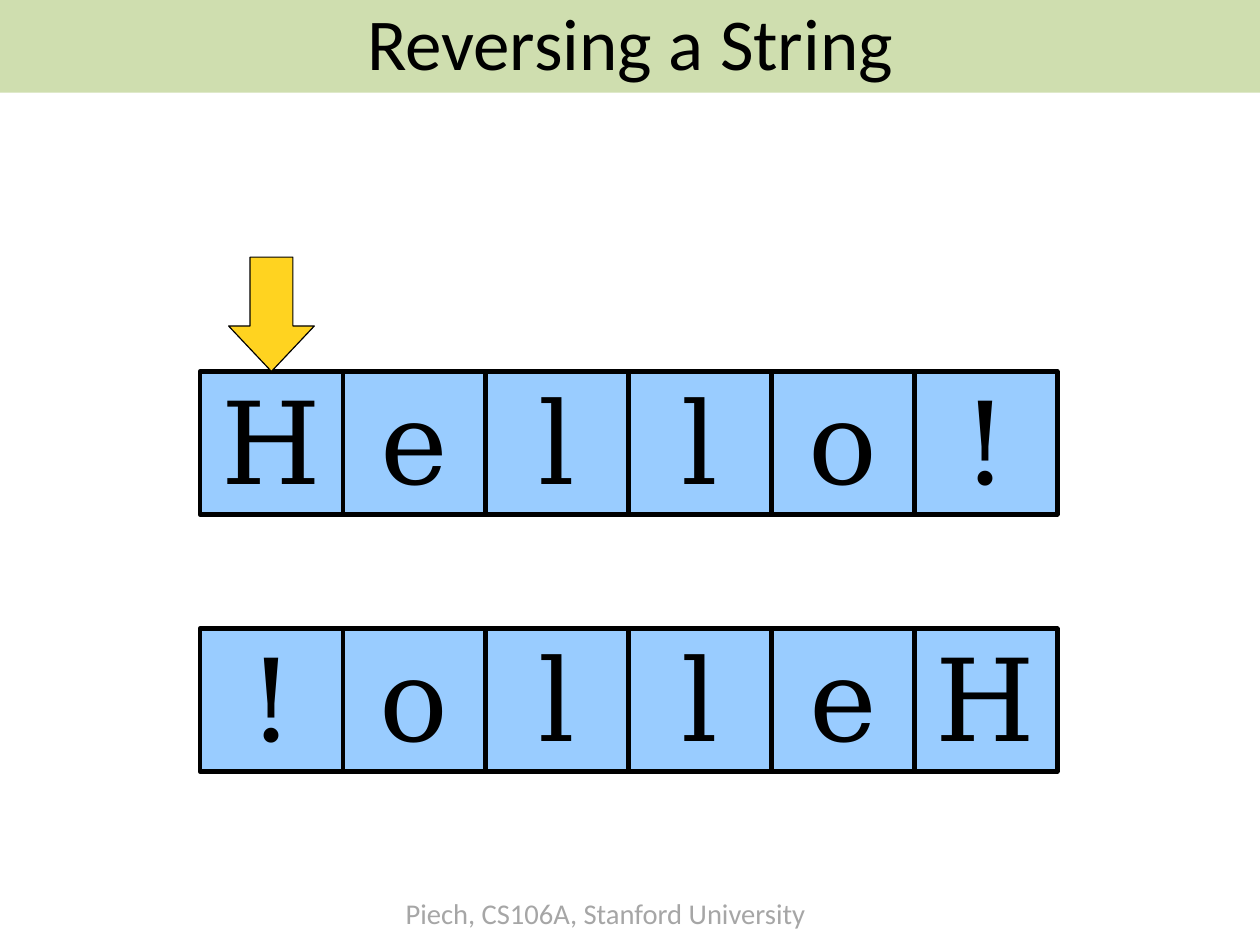
from lxml.etree import SubElement as add_sub
from pptx import Presentation
from pptx.dml.color import RGBColor
from pptx.enum.shapes import MSO_SHAPE as Shape
from pptx.enum.text import MSO_ANCHOR as Anchor, MSO_AUTO_SIZE as Fit, PP_ALIGN as Align
from pptx.oxml.ns import qn
from pptx.util import Cm, Inches, Pt

WIDTH, HEIGHT = Cm(28), Cm(21)
CELL = 1.25                # side of a letter box, in inches
LEFT = 1.75                # left edge of both words
WORD = "Hello!"
TOP, LOW = 3.25, 5.5       # tops of the two words


def paint(fill, color):
    """Give a fill one solid colour."""
    fill.solid()
    fill.fore_color.rgb = RGBColor.from_string(color)


def write(frame, text, face, size, color, space, align=Align.CENTER):
    frame.text = text
    line = frame.paragraphs[0]
    line.alignment = align
    line.line_spacing = space
    line.font.name = face
    line.font.size = Pt(size)
    paint(line.font.fill, color)


def add_form(slide, kind, box, fill, weight):
    form = slide.shapes.add_shape(kind, *map(Inches, box))
    form.shadow.inherit = False
    paint(form.fill, fill)
    paint(form.line.fill, "000000")
    form.line.width = Pt(weight)
    return form


def add_title(slide, text):
    title = slide.shapes.title
    title.left = title.top = 0
    title.width, title.height = WIDTH, Inches(0.81)
    paint(title.fill, "C3D69B")
    tint = title.element.spPr.find(qn("a:solidFill"))[0]
    add_sub(tint, qn("a:alpha"), val="80000")
    frame = title.text_frame
    frame.auto_size = Fit.NONE
    frame.vertical_anchor = Anchor.MIDDLE
    write(frame, text, "Calibri", 46, "000000", 0.93)


def add_word(slide, word, top):
    for col, letter in enumerate(word):
        box = (LEFT + col * CELL, top, CELL, CELL)
        frame = add_form(slide, Shape.RECTANGLE, box, "99CCFF", 2.89).text_frame
        frame.word_wrap = False
        frame.vertical_anchor = Anchor.MIDDLE
        frame.margin_left = frame.margin_right = Inches(0.12)
        frame.margin_top, frame.margin_bottom = Inches(0.09), Inches(0.07)
        write(frame, letter, "DejaVu Serif", 72, "000000", 0.98)


def add_arrow(slide, col):
    """Point down at one letter of the upper word."""
    wide, tall = 0.75, 1
    left = LEFT + col * CELL + (CELL - wide) / 2
    arrow = add_form(slide, Shape.DOWN_ARROW, (left, TOP - tall, wide, tall),
                     "FFD320", 0.75)
    arrow.adjustments[1] = 0.53


def add_foot(slide, text):
    box = slide.shapes.add_textbox(*map(Inches, (3.45, 7.82, 3.74, 0.38)))
    frame = box.text_frame
    frame.word_wrap = False
    frame.auto_size = Fit.SHAPE_TO_FIT_TEXT
    write(frame, text, "Calibri", 18, "A6A6A6", 0.93, Align.LEFT)


def main():
    deck = Presentation()
    deck.slide_width, deck.slide_height = WIDTH, HEIGHT
    slide = deck.slides.add_slide(deck.slide_layouts[5])

    # Title band and footer
    add_title(slide, "Reversing a String")
    add_foot(slide, "Piech, CS106A, Stanford University")

    # The word, its pointer and the reversed word
    add_word(slide, WORD, TOP)
    add_arrow(slide, 0)
    add_word(slide, WORD[::-1], LOW)

    deck.save("out.pptx")


if __name__ == "__main__":
    main()
